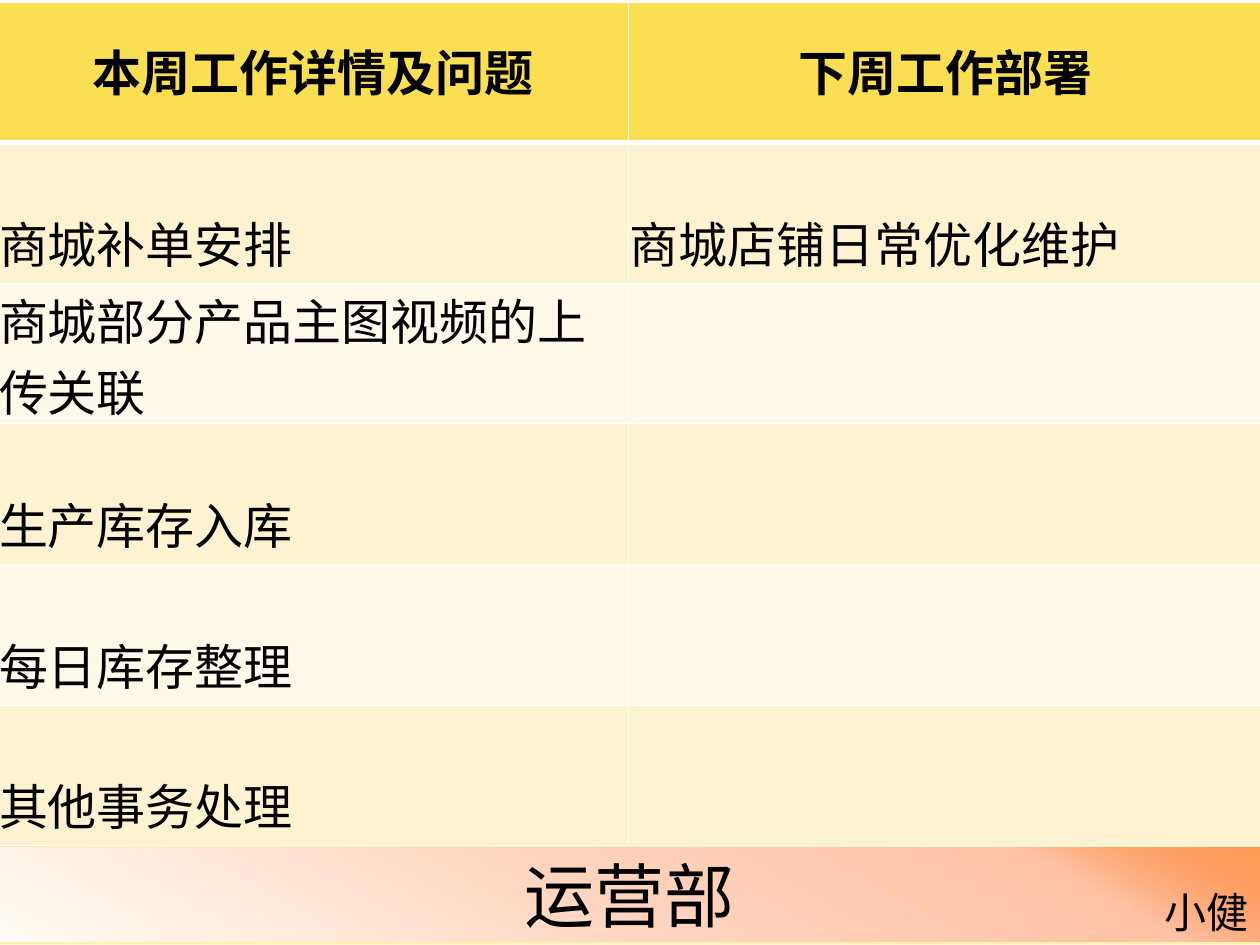
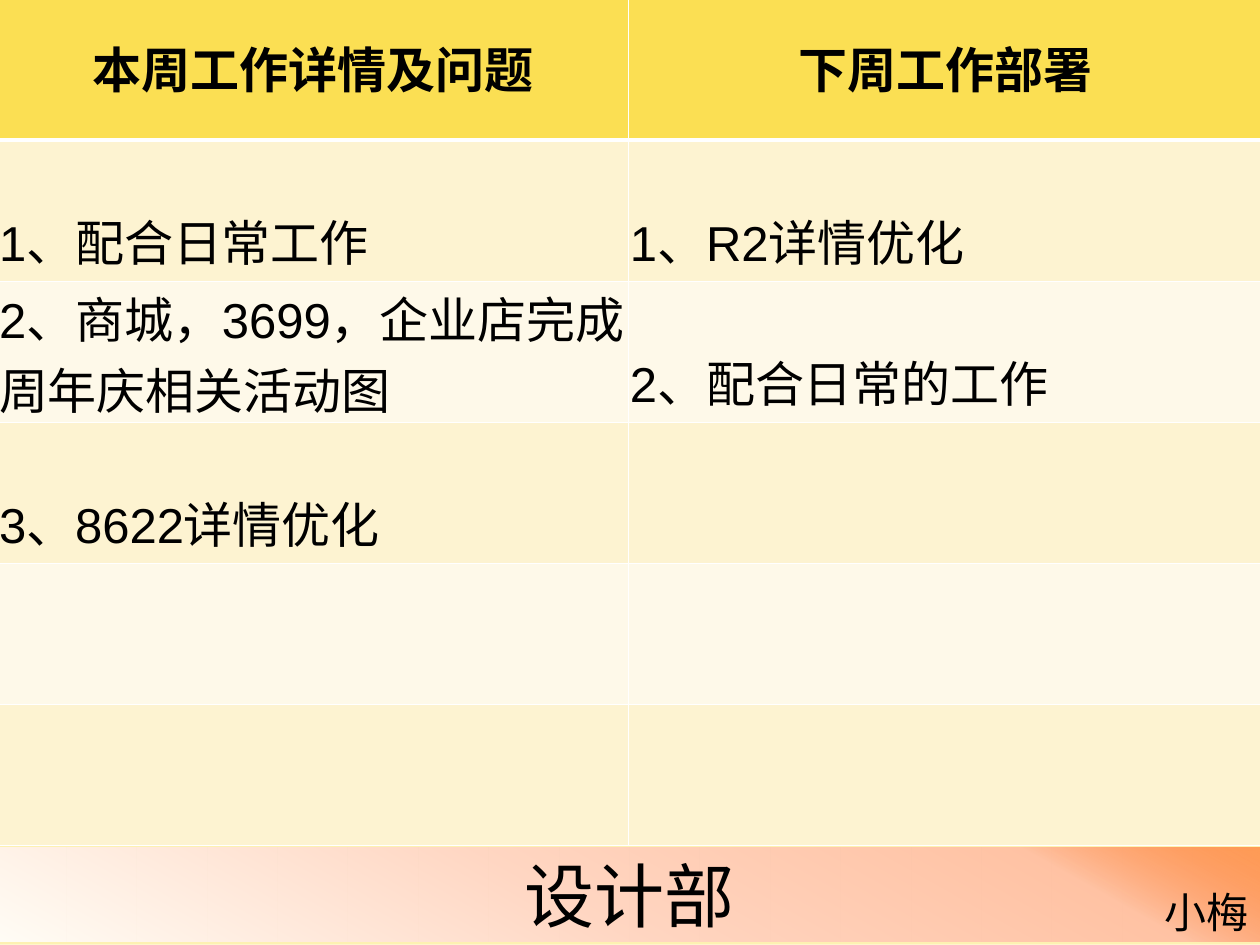
from dataclasses import dataclass

from lxml import etree
from pptx import Presentation
from pptx import util as u
from pptx.dml.color import RGBColor
from pptx.enum import text as t
from pptx.oxml import ns

PX = 914400 // 126  # one px in EMU


@dataclass(frozen=True)
class Theme:
    font: str = "Noto Sans CJK SC"
    latin: str = "Arial"
    ink: str = "000000"
    rule: str = "FFFFFF"
    header: str = "FBDF53"
    stripes: tuple = ("FDF3D1", "FEF9E9")
    band_line: str = "FDF1B2"
    title_size: int = 40
    cell_size: int = 28
    name_size: int = 24
    thin_rule: float = 0.5
    thick_rule: float = 3
    # Gradient stops: position %, colour, opacity %
    page_stops: tuple = ((0, "FFFDF6", 100), (74, "FDF1B2", 100),
                         (83, "FDF1B2", 100), (100, "FEF5CB", 100))
    band_stops: tuple = ((0, "FFFDF6", 100), (45, "FFD6C2", 100),
                         (83, "FFC2A3", 100), (100, "FF5D0D", 58))


THEME = Theme()
HEADINGS = ("本周工作详情及问题", "下周工作部署")
COLUMN_WIDTHS = (631, 634)
ROW_COUNT = 6
BAND_TOP = 846  # the table ends where the band starts

REPORTS = (
    dict(department="运营部", person="小健", top=2, font=THEME.font,
         done=("商城补单安排", "商城部分产品主图视频的上传关联", "生产库存入库",
               "每日库存整理", "其他事务处理"),
         planned=("商城店铺日常优化维护",)),
    dict(department="设计部", person="小梅", top=-1, font=THEME.latin,
         done=("1、配合日常工作", "2、商城，3699，企业店完成周年庆相关活动图",
               "3、8622详情优化"),
         planned=("1、R2详情优化", "2、配合日常的工作")),
)


def px(*lengths):
    return [u.Emu(length * PX) for length in lengths]


def add_child(parent, tag, **attributes):
    return etree.SubElement(parent, ns.qn(tag), attributes)


def paint_gradient(fill, owner, stops, angle):
    """Give a fill several stops, with the angle clockwise in degrees."""
    fill.gradient()
    gradient = owner.xpath(".//a:gradFill")[0]
    for child in list(gradient):
        gradient.remove(child)
    stop_list = add_child(gradient, "a:gsLst")
    for position, colour, opacity in stops:
        stop = add_child(stop_list, "a:gs", pos=str(position * 1000))
        paint = add_child(stop, "a:srgbClr", val=colour)
        if opacity < 100:
            add_child(paint, "a:alpha", val=str(opacity * 1000))
    add_child(gradient, "a:lin", ang=str(angle * 60000), scaled="0")


def write(frame, words, size, align, font=THEME.font, bold=False):
    para = frame.paragraphs[0]
    para.text = words
    para.alignment = align
    para.font.size = u.Pt(size)
    para.font.bold = bold
    para.font.color.rgb = RGBColor.from_string(THEME.ink)
    para.font.name = font
    add_child(para._p.xpath("a:pPr/a:defRPr")[0], "a:ea", typeface=THEME.font)


def add_department_band(page, department):
    box = page.shapes.title
    box.left, box.top, box.width, box.height = px(-3, BAND_TOP, 1265, 97)
    paint_gradient(box.fill, box.element, THEME.band_stops, 299)
    box.line.color.rgb = RGBColor.from_string(THEME.band_line)
    box.line.width = u.Pt(0.75)
    frame = box.text_frame
    frame.auto_size = t.MSO_AUTO_SIZE.NONE
    frame.vertical_anchor = t.MSO_ANCHOR.MIDDLE
    write(frame, department, THEME.title_size, t.PP_ALIGN.CENTER)


def add_person(page, person):
    box = page.shapes.add_textbox(*px(1151, 880, 110, 63))
    box.text_frame.word_wrap = False
    write(box.text_frame, person, THEME.name_size, t.PP_ALIGN.RIGHT)


def style_cell(cell, colour, bottom_rule=THEME.thin_rule):
    cell.margin_left, cell.margin_top, cell.margin_right, cell.margin_bottom = px(2, 1, 1, 6)
    properties = cell._tc.get_or_add_tcPr()
    thin = THEME.thin_rule
    for side, width in (("L", thin), ("R", thin), ("T", thin), ("B", bottom_rule)):
        line = add_child(properties, f"a:ln{side}", w=str(int(u.Pt(width))))
        add_child(add_child(line, "a:solidFill"), "a:srgbClr", val=THEME.rule)
    cell.fill.solid()
    cell.fill.fore_color.rgb = RGBColor.from_string(colour)


def add_work_table(page, top, done, planned, font):
    frame = page.shapes.add_table(
        ROW_COUNT, len(HEADINGS), *px(-3, top, sum(COLUMN_WIDTHS), BAND_TOP - top))
    table = frame.table
    table.horz_banding = False
    for row in table.rows:
        row.height = u.Emu(frame.height // ROW_COUNT)
    for index, (heading, tasks) in enumerate(zip(HEADINGS, (done, planned))):
        table.columns[index].width = px(COLUMN_WIDTHS[index])[0]
        # Heading
        cell = table.cell(0, index)
        style_cell(cell, THEME.header, THEME.thick_rule)
        cell.vertical_anchor = t.MSO_ANCHOR.MIDDLE
        write(cell.text_frame, heading, THEME.cell_size, t.PP_ALIGN.CENTER, bold=True)
        # Striped rows, filled from the top
        for row in range(1, ROW_COUNT):
            cell = table.cell(row, index)
            style_cell(cell, THEME.stripes[(row - 1) % 2])
            if row <= len(tasks):
                cell.vertical_anchor = t.MSO_ANCHOR.BOTTOM
                write(cell.text_frame, tasks[row - 1], THEME.cell_size,
                      t.PP_ALIGN.LEFT, font)


def main():
    deck = Presentation()
    deck.slide_width, deck.slide_height = px(1260, 945)

    # Shared background
    master = deck.slide_master
    paint_gradient(master.background.fill, master.element.cSld.bg, THEME.page_stops, 90)

    # One weekly report per department
    title_only = deck.slide_layouts[5]
    for report in REPORTS:
        page = deck.slides.add_slide(title_only)
        add_department_band(page, report["department"])
        add_person(page, report["person"])
        add_work_table(page, report["top"], report["done"], report["planned"],
                       report["font"])
    deck.save("out.pptx")


if __name__ == "__main__":
    main()
